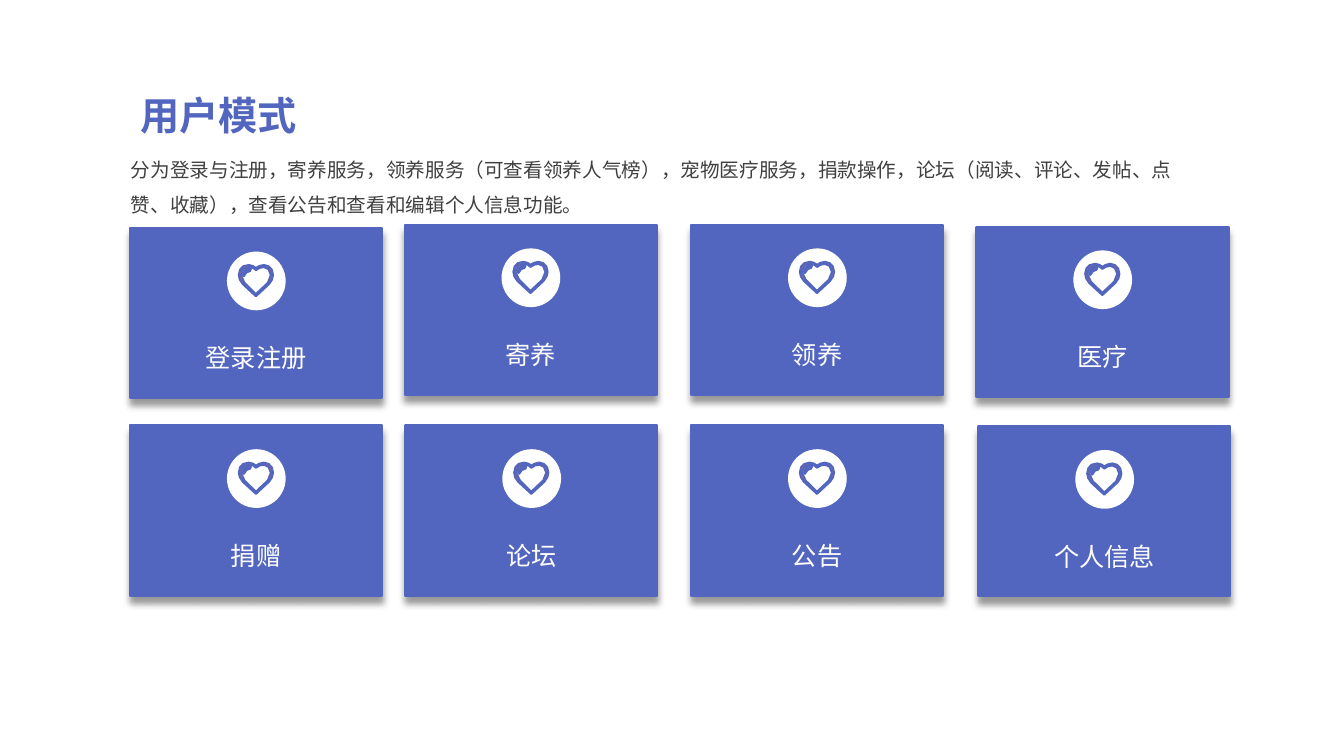
"""Build the user mode slide with its eight feature cards."""
from lxml.etree import SubElement
from pptx import Presentation
from pptx.dml.color import RGBColor
from pptx.enum.shapes import MSO_SHAPE as Preset
from pptx.enum.text import MSO_ANCHOR as Anchor, MSO_AUTO_SIZE as AutoSize, PP_ALIGN as Align
from pptx.oxml.ns import qn
from pptx.util import Cm, Pt

BLUE = RGBColor(0x52, 0x66, 0xBF)
RED = RGBColor(0xCE, 0x63, 0x54)
GREY = RGBColor(0x40, 0x40, 0x40)
WHITE = RGBColor(0xFF, 0xFF, 0xFF)
FONT = "Noto Sans CJK SC"

TITLE_FORMAT = {"name": FONT, "size": Pt(28), "bold": True}
INTRO_FORMAT = {"name": FONT, "size": Pt(14), "bold": False}
LABEL_FORMAT = {"name": FONT, "size": Pt(18), "bold": False}

INTRO = ("分为登录与注册，寄养服务，领养服务（可查看领养人气榜），宠物医疗服务，捐款操作，"
         "论坛（阅读、评论、发帖、点赞、收藏），查看公告和查看和编辑个人信息功能。")
CARDS = [
    ("登录注册", 3.28, 5.74), ("寄养", 10.2, 5.66), ("领养", 17.42, 5.66), ("医疗", 24.61, 5.71),
    ("捐赠", 3.28, 10.72), ("论坛", 10.22, 10.72), ("公告", 17.42, 10.72), ("个人信息", 24.66, 10.74),
]

HEART_WIDTH = 0.86
HEART_COLUMNS = 34
SHINE = [(11, 3), (12, 4), (11, 6), (7.6, 7.2), (5, 11), (4, 10), (6, 5.5)]
INNER_HEART = [(10, 2), (14.4, 2.8), (17, 5), (20.6, 2.8), (25, 2), (29.6, 4), (32, 10),
               (28.9, 17.8), (17, 29), (5.6, 17.8), (2, 10), (4.4, 4)]
OUTER_HEART = [(10, 0), (14, 1), (17, 3), (20.5, 1), (25, 0), (29.6, 1.3), (32.8, 4.7), (34, 10),
               (33, 14.5), (30, 19), (17, 31), (4, 19), (1, 14.5), (0, 10), (1.2, 4.7), (4.4, 1.3)]


def write_text(shape, text, font_format, color, align=Align.LEFT, line_spacing=1.0):
    """Write one formatted paragraph into a shape."""
    frame = shape.text_frame
    settings = {"word_wrap": True, "auto_size": AutoSize.SHAPE_TO_FIT_TEXT, "vertical_anchor": Anchor.TOP}
    for name, value in settings.items():
        setattr(frame, name, value)
    paragraph = frame.paragraphs[0]
    paragraph.alignment = align
    paragraph.line_spacing = line_spacing
    run = paragraph.add_run()
    run.text = text
    for name, value in font_format.items():
        setattr(run.font, name, value)
    run.font.color.rgb = color
    SubElement(run._r.get_or_add_rPr(), qn("a:ea"), typeface=font_format["name"])


def paint(shape, fill, line=None):
    """Give a shape a plain fill and an optional outline, without shadow."""
    shape.shadow.inherit = False
    shape.fill.solid()
    shape.fill.fore_color.rgb = fill
    if line is None:
        shape.line.fill.background()
    else:
        shape.line.color.rgb = line
        shape.line.width = Pt(1.5)


def add_drop_shadow(shape):
    """Add a soft black shadow below a shape."""
    effects = shape._element.spPr.find(qn("a:effectLst"))
    shadow = SubElement(effects, qn("a:outerShdw"), blurRad=str(Pt(5)), dist=str(Pt(5)),
                        dir="5400000", algn="t", rotWithShape="0")
    color = SubElement(shadow, qn("a:srgbClr"), val="000000")
    SubElement(color, qn("a:alpha"), val="40000")


def add_heart(shapes, left, top):
    """Draw the outlined heart."""
    shine, *hearts = [[(Cm(x * HEART_WIDTH / HEART_COLUMNS), Cm(y * HEART_WIDTH / HEART_COLUMNS))
                       for x, y in contour] for contour in (SHINE, INNER_HEART, OUTER_HEART)]
    builder = shapes.build_freeform(*shine[0])
    builder.add_line_segments(shine[1:])
    for points in hearts:
        builder.move_to(*points[0])
        builder.add_line_segments(points[1:])
    paint(builder.convert_to_shape(left, top), RED, BLUE)


def add_card(slide, label, left, top):
    """Add a card with a heart badge and a label."""
    card = slide.shapes.add_shape(Preset.RECTANGLE, Cm(left), Cm(top), Cm(6.35), Cm(4.29))
    paint(card, BLUE, BLUE)
    add_drop_shadow(card)
    shapes = slide.shapes.add_group_shape().shapes
    badge = shapes.add_shape(Preset.OVAL, Cm(left + 2.44), Cm(top + 0.6), Cm(1.48), Cm(1.48))
    paint(badge, WHITE)
    add_heart(shapes, Cm(left + 2.74), Cm(top + 0.94))
    box = shapes.add_textbox(Cm(left + 1.03), Cm(top + 2.77), Cm(4.29), Cm(1.02))
    write_text(box, label, LABEL_FORMAT, WHITE, Align.CENTER)


def main():
    """Build and save the presentation."""
    presentation = Presentation()
    presentation.slide_width, presentation.slide_height = Cm(33.87), Cm(19.05)
    slide = presentation.slides.add_slide(presentation.slide_layouts[5])
    title = slide.shapes.title
    title.left, title.top, title.width, title.height = Cm(3.28), Cm(2.18), Cm(5.03), Cm(1.45)
    write_text(title, "用户模式", TITLE_FORMAT, BLUE)
    intro = slide.shapes.add_textbox(Cm(3.05), Cm(3.56), Cm(27.1), Cm(1.98))
    write_text(intro, INTRO, INTRO_FORMAT, GREY, line_spacing=1.5)
    for label, left, top in CARDS:
        add_card(slide, label, left, top)
    presentation.save("out.pptx")


if __name__ == "__main__":
    main()
